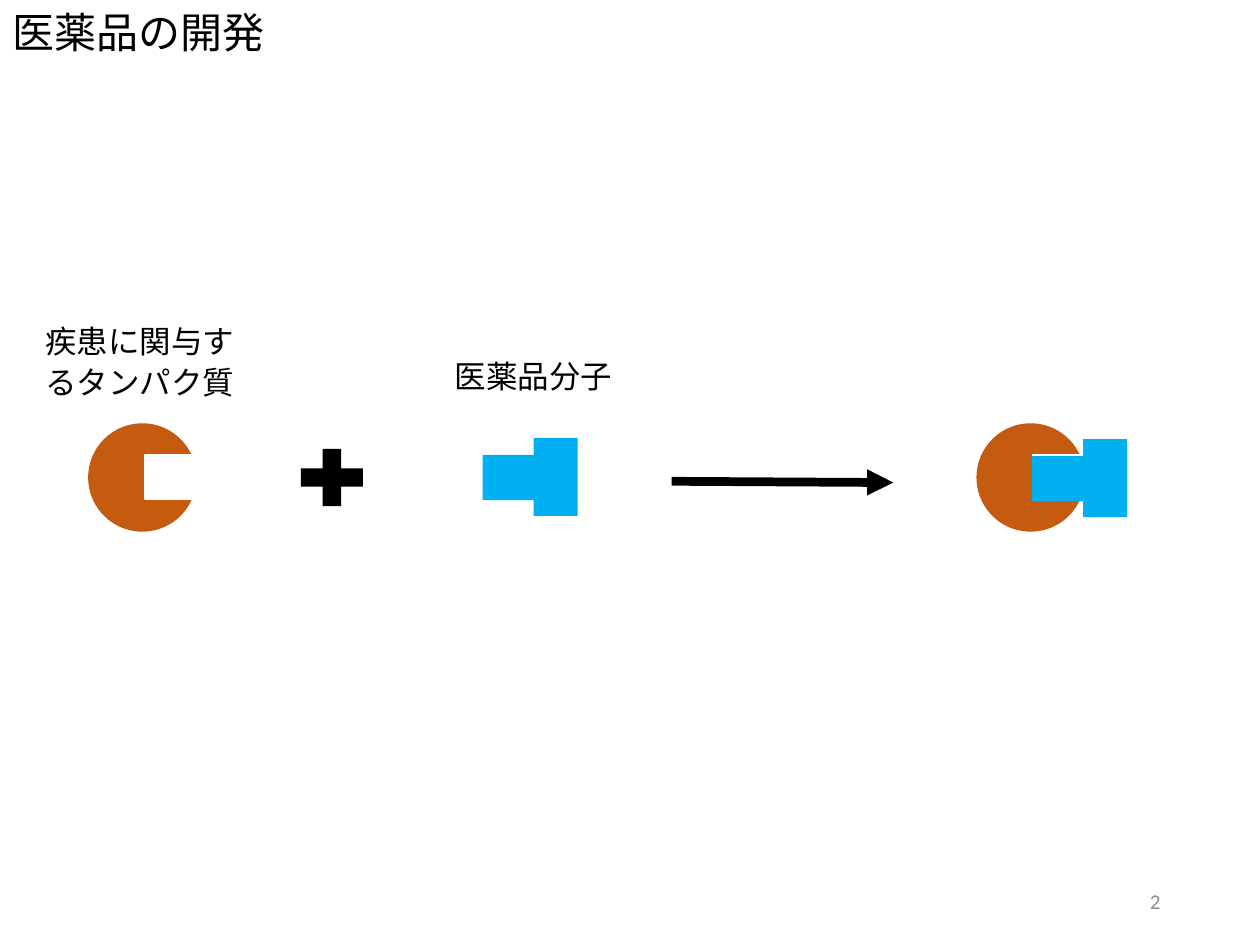
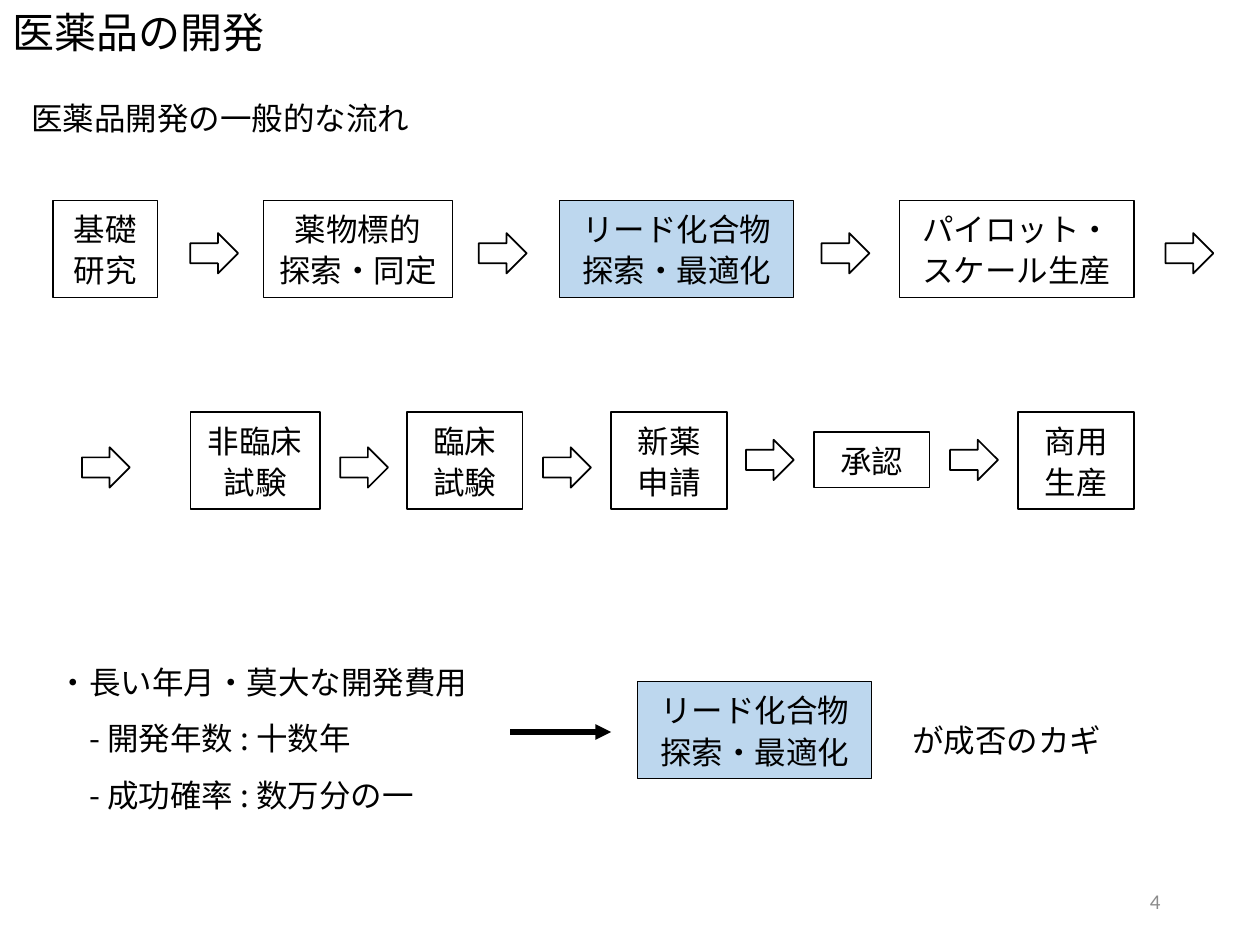
from dataclasses import dataclass

from lxml import etree
from pptx import Presentation
from pptx import util as u
from pptx.dml.color import RGBColor
from pptx.enum import shapes, text
from pptx.oxml import ns

SCALE = 9144
KIND = shapes.MSO_SHAPE
ALIGN = text.PP_ALIGN


@dataclass(frozen=True)
class Theme:
    ink: str = "000000"
    paper: str = "FFFFFF"
    grey: str = "8C8C8C"
    rust: str = "C55A11"
    blue: str = "00B0F0"
    pale: str = "BDD7EE"
    font: str = "Noto Sans CJK JP"
    digit: str = "Calibri"
    head: int = 24
    body: int = 18
    small: int = 12
    lead: float = 23.6


T = Theme()


def px(*nums):
    return [u.Emu(n * SCALE) for n in nums]


def hue(code):
    return RGBColor.from_string(code)


def write(shape, lines, size=T.body, color=T.ink, font=T.font, align=ALIGN.LEFT,
          lead=u.Pt(T.lead), anchor=text.MSO_ANCHOR.TOP, wrap=True):
    frame = shape.text_frame
    frame.auto_size = text.MSO_AUTO_SIZE.NONE
    frame.word_wrap = wrap
    frame.vertical_anchor = anchor
    for i, line in enumerate(lines):
        para = frame.add_paragraph() if i else frame.paragraphs[0]
        para.alignment = align
        para.line_spacing = lead
        para.space_before = u.Pt(0)
        run = para.add_run()
        run.text = line
        run.font.size = u.Pt(size)
        run.font.color.rgb = hue(color)
        run.font.name = font
        etree.SubElement(run._r.get_or_add_rPr(), ns.qn("a:ea"), typeface=font)
    return shape


def label(page, box, lines, **style):
    return write(page.shapes.add_textbox(*px(*box)), lines, **style)


def block(host, kind, box, fill=None, line=None, width=1):
    shape = host.shapes.add_shape(kind, *px(*box))
    shape.shadow.inherit = False
    if fill:
        shape.fill.solid()
        shape.fill.fore_color.rgb = hue(fill)
    else:
        shape.fill.background()
    if line:
        shape.line.color.rgb = hue(line)
        shape.line.width = u.Pt(width)
    else:
        shape.line.fill.background()
    return shape


def arrow(page, start, end, width):
    line = page.shapes.add_connector(shapes.MSO_CONNECTOR.STRAIGHT, *px(*start, *end))
    line.line.color.rgb = hue(T.ink)
    line.line.width = u.Pt(width)
    props = line._element.spPr
    etree.SubElement(props.find(ns.qn("a:ln")), ns.qn("a:tailEnd"), type="triangle")
    etree.SubElement(props, ns.qn("a:effectLst"))


def start(deck, layout, number):
    page = deck.slides.add_slide(deck.slide_layouts[layout])
    title = page.shapes.title
    title.left, title.top, title.width, title.height = px(0, 0, 222, 50)
    write(title, ["医薬品の開発"], size=T.head, lead=1.0, wrap=False)
    label(page, (706, 695, 225, 40), [number], size=T.small, color=T.grey,
          font=T.digit, align=ALIGN.RIGHT, lead=1.0, anchor=text.MSO_ANCHOR.MIDDLE)
    return page


def protein(page, x, y):
    group = page.shapes.add_group_shape()
    block(group, KIND.OVAL, (x, y, 86, 86), T.rust)
    block(group, KIND.RECTANGLE, (x + 45, y + 25, 61, 35), T.paper, T.paper)


def drug(page, x, y):
    group = page.shapes.add_group_shape()
    block(group, KIND.RECTANGLE, (x, y, 61, 36), T.blue)
    block(group, KIND.RECTANGLE, (x + 27, y, 62, 35), T.blue).rotation = 90


def binding(page, x, y):
    protein(page, x, y)
    drug(page, x + 313, y + 25)
    name = block(page, KIND.RECTANGLE, (x + 247, y - 60, 213, 40), T.paper)
    write(name, ["医薬品分子"], align=ALIGN.CENTER)
    label(page, (x - 55, y - 88, 192, 77), ["疾患に関与するタンパク質"], align=ALIGN.CENTER)
    protein(page, x + 705, y)
    drug(page, x + 749, y + 26)
    arrow(page, (x + 463, y + 46), (x + 639, y + 47), 5)
    block(page, KIND.MATH_PLUS, (x + 160, y + 12, 67, 62), T.ink)


def step(page, box, lines, fill=None):
    shape = block(page, KIND.RECTANGLE, box, fill, T.ink, 0.75)
    write(shape, lines, align=ALIGN.CENTER)


def flow(page, x, y, steps, marks):
    tall = 77
    for left, width, high, lines, fill in steps:
        step(page, (x + left, y + (tall - high) // 2, width, high), lines, fill)
    for left, drop in marks:
        block(page, KIND.RIGHT_ARROW, (x + left, y + drop, 38, 32), line=T.ink)


LEAD = ["リード化合物探索・最適化"]


def key(page, x, y):
    body = page.placeholders[1]
    body.left, body.top, body.width, body.height = px(x, y, 435, 146)
    write(body, ["・長い年月・莫大な開発費用", "- 開発年数 : 十数年", "- 成功確率 : 数万分の一"], lead=1.5)
    for i, para in enumerate(body.text_frame.paragraphs):
        props = para._p.get_or_add_pPr()
        props.set("marL", str(25 * SCALE if i else 0))
        props.set("indent", "0")
        etree.SubElement(props, ns.qn("a:buNone"))
    arrow(page, (x + 369, y + 75), (x + 449, y + 75), 3)
    step(page, (x + 470, y + 35, 186, 77), LEAD, T.pale)
    label(page, (x + 678, y + 46, 280, 56), ["が成否のカギ"], lead=1.5)


def main():
    deck = Presentation()
    deck.slide_width, deck.slide_height = px(1000, 750)

    page = start(deck, 5, "2")
    binding(page, 70, 336)

    page = start(deck, 1, "4")
    label(page, (15, 71, 435, 44), ["医薬品開発の一般的な流れ"])
    flow(page, 42, 159, [
        (0, 83, 77, ["基礎研究"], None),
        (167, 150, 77, ["薬物標的", "探索・同定"], None),
        (402, 186, 77, LEAD, T.pale),
        (672, 186, 77, ["パイロット・スケール生産"], None),
    ], [(left, 26) for left in (109, 338, 610, 883)])
    flow(page, 65, 327, [
        (86, 103, 77, ["非臨床試験"], None),
        (258, 92, 77, ["臨床試験"], None),
        (420, 92, 77, ["新薬申請"], None),
        (581, 92, 44, ["承認"], None),
        (743, 92, 77, ["商用生産"], None),
    ], [(0, 28), (205, 28), (366, 28), (527, 22), (689, 22)])
    key(page, 36, 506)

    deck.save("out.pptx")


if __name__ == "__main__":
    main()
